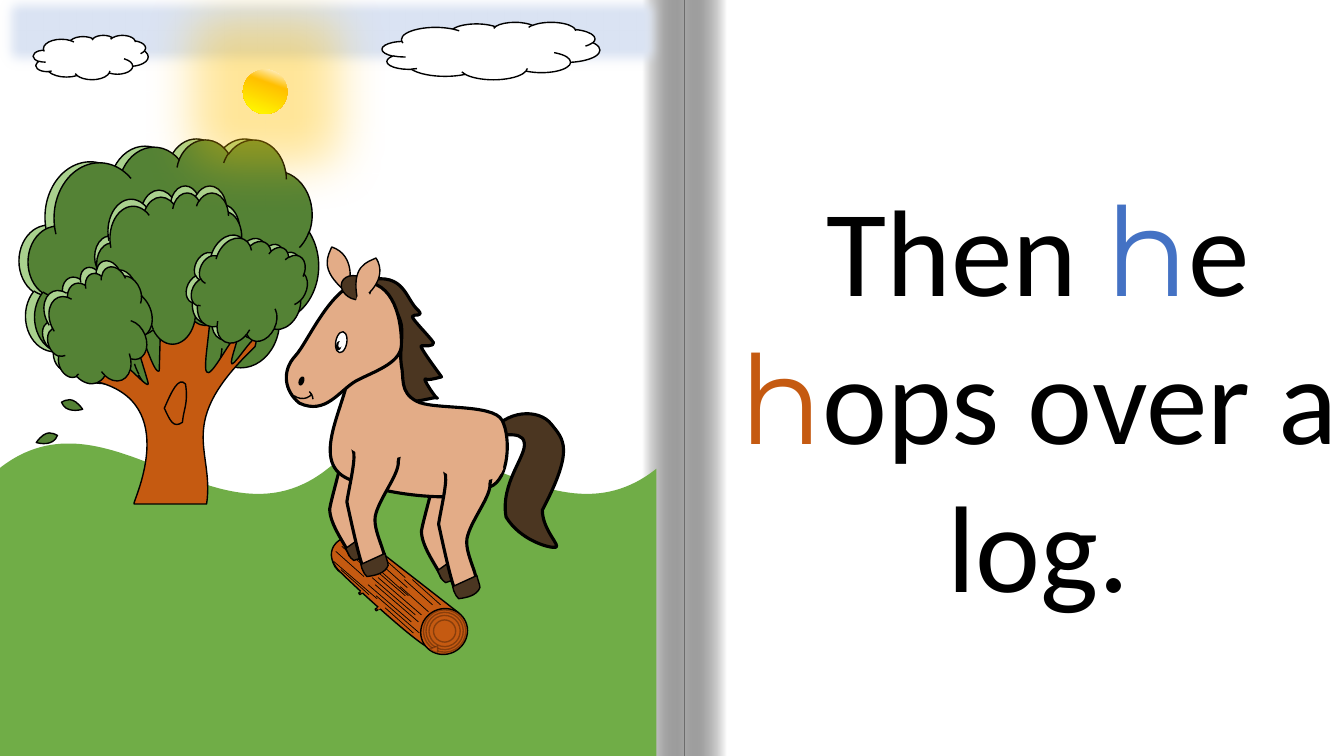
from lxml.etree import SubElement
from pptx import Presentation
from pptx.dml.color import RGBColor
from pptx.enum.shapes import MSO_CONNECTOR, MSO_SHAPE as Preset
from pptx.enum.text import MSO_AUTO_SIZE, PP_ALIGN
from pptx.oxml.ns import qn
from pptx.util import Inches, Pt

BLACK, WHITE, SKY, GRASS = "000000", "FFFFFF", "DAE3F3", "70AD47"
LEAF, LEAF_LIGHT, BARK = "548235", "A9D18E", "C55A11"
COAT, MANE, SUN = "E3AC87", "4B3621", "FFC000"


def color(value):
    return RGBColor.from_string(value)


class StoryPage:
    """Draws styled elements on one slide, optionally inside a group."""

    def __init__(self, slide):
        self.slide = slide
        self.shapes = slide.shapes
        slide.background.fill.solid()
        slide.background.fill.fore_color.rgb = color(BLACK)

    def start_group(self):
        self.shapes = self.slide.shapes.add_group_shape().shapes

    def end_group(self):
        self.shapes = self.slide.shapes

    def paint(self, shape, fill, line, weight, line_alpha=None):
        shape.shadow.inherit = False
        if fill:
            shape.fill.solid()
            shape.fill.fore_color.rgb = color(fill)
        else:
            shape.fill.background()
        if line:
            shape.line.color.rgb = color(line)
            shape.line.width = Pt(weight)
        else:
            shape.line.fill.background()
        if line_alpha:
            ink = shape.element.xpath(".//a:ln//a:srgbClr")[0]
            SubElement(ink, qn("a:alpha"), val=str(line_alpha * 1000))
        return shape

    def preset(self, kind, box, fill=None, line=BLACK, weight=1, turn=0, line_alpha=None, adjust=()):
        shape = self.shapes.add_shape(kind, *map(Inches, box))
        shape.rotation = turn
        for index, value in enumerate(adjust):
            shape.adjustments[index] = value
        return self.paint(shape, fill, line, weight, line_alpha)

    def gradient(self, shape, angle, stops):
        shape.fill.gradient()
        shape.fill.gradient_angle = angle
        stop_list = shape.element.xpath(".//a:gsLst")[0]
        for stop in list(stop_list):
            stop_list.remove(stop)
        for position, tint, alpha in stops:
            stop = SubElement(stop_list, qn("a:gs"), pos=str(position * 1000))
            ink = SubElement(stop, qn("a:srgbClr"), val=tint)
            SubElement(ink, qn("a:alpha"), val=str(alpha * 1000))

    def effect(self, shape, tag, radius):
        effects = shape.element.xpath(".//a:effectLst")[0]
        return SubElement(effects, qn(tag), rad=str(Inches(radius)))

    def outline(self, curve, fill=None, weight=1, dx=0, dy=0, line_alpha=None):
        segments = []
        for part in curve.split("|"):
            numbers = [float(n) for n in part.split()]
            segments.append([(Inches(x + dx), Inches(y + dy)) for x, y in zip(numbers[::2], numbers[1::2])])
        start, *rest = segments
        builder = self.shapes.build_freeform(*start[0], scale=1.0)
        builder.add_line_segments([segment[-1] for segment in rest], close=True)
        shape = builder.convert_to_shape()
        for edge, segment in zip(shape.element.xpath(".//a:lnTo"), rest):
            if len(segment) == 3:
                bend = SubElement(edge.getparent(), qn("a:cubicBezTo"))
                for x, y in segment:
                    SubElement(bend, qn("a:pt"), x=str(x - shape.left), y=str(y - shape.top))
                edge.getparent().replace(edge, bend)
        return self.paint(shape, fill, BLACK, weight, line_alpha)

    def stroke(self, x, y, dx, dy):
        grain = self.shapes.add_connector(MSO_CONNECTOR.STRAIGHT, *map(Inches, (x, y, x + dx, y + dy)))
        grain.line.color.rgb = color(BLACK)
        grain.line.width = Pt(0.5)
        SubElement(grain.element.spPr, qn("a:effectLst"))

    def sentence(self, box, pieces, size):
        frame = self.shapes.add_textbox(*map(Inches, box)).text_frame
        frame.word_wrap = True
        frame.auto_size = MSO_AUTO_SIZE.SHAPE_TO_FIT_TEXT
        line = frame.paragraphs[0]
        line.alignment = PP_ALIGN.CENTER
        for words, font, tint in pieces:
            run = line.add_run()
            run.text = words
            run.font.name, run.font.size = font, Pt(size)
            run.font.color.rgb = color(tint)


def draw_book(page):
    page.start_group()
    page.preset(Preset.RECTANGLE, (0, 0, 13.33, 7.5), WHITE, None)
    for left, angle in ((6.79, 180), (6.37, 0)):
        fold = page.preset(Preset.RECTANGLE, (left, 0, 0.42, 7.5), WHITE, None)
        page.gradient(fold, angle, [(0, WHITE, 100), (100, BLACK, 34)])
    page.end_group()
    page.sentence((7.16, 1.67, 6.28, 4.54), [
        ("Then ", "Calibri", BLACK), ("h", "Montserrat", "4472C4"), ("e ", "Calibri", BLACK),
        ("h", "Montserrat", BARK), ("ops over a log.", "Calibri", BLACK)], 88)


def draw_scenery(page):
    sky = page.preset(Preset.RECTANGLE, (-0.05, -0.12, 6.67, 0.85), SKY, SKY)
    page.effect(sky, "a:softEdge", 0.14)
    for box in ((0.33, 0.35, 1.14, 0.44), (3.79, 0.22, 2.16, 0.57)):
        page.preset(Preset.CLOUD, box, WHITE)
    page.preset(Preset.DOUBLE_WAVE, (-0.01, 4.39, 6.52, 4.16), GRASS, None)


def draw_tree(page):
    page.start_group()
    for left, top, tint in ((0.19, 1.37, LEAF_LIGHT), (0.28, 1.38, LEAF)):
        page.preset(Preset.CLOUD, (left, top, 2.88, 2.58), tint)
    page.outline("1.6 2.97|2.05 2.97|2.15 3 2 3.63 2.05 3.69|2.09 3.76 2.27 3.39 2.34 3.34|"
                 "2.4 3.29 2.27 3.59 2.3 3.61|2.34 3.62 2.6 3.18 2.53 3.44|1.72 4.21 2.13 4.45 2.05 5|1.33 5|"
                 "1.29 5.03 1.84 3.98 0.93 3.78|0.89 3.54 0.99 3.57 1.06 3.58|1.08 3.38 1.49 3.91 1.47 3.8|"
                 "1.44 3.68 1.28 3.21 1.33 3.22|1.38 3.17 1.52 3.73 1.58 3.68", BARK)
    for left, top, width, height, turn, tint in (
            (0.94, 1.84, 1.47, 1.5, 0, LEAF_LIGHT), (0.96, 1.91, 1.47, 1.5, 0, LEAF),
            (1.88, 2.32, 1.07, 1.09, 26.5, LEAF_LIGHT), (0.41, 2.66, 1.07, 1.09, 338.5, LEAF_LIGHT),
            (1.93, 2.35, 1.07, 1.09, 26.5, LEAF), (0.46, 2.72, 1.07, 1.09, 338.5, LEAF)):
        page.preset(Preset.CLOUD, (left, top, width, height), tint, turn=turn)
    page.outline("1.63 4.05|1.7 3.89 1.77 3.73 1.84 3.81|1.87 4 1.82 4.06 1.81 4.19|1.72 4.25 1.69 4.18 1.63 4.05")
    page.end_group()
    sun = page.preset(Preset.OVAL, (2.41, 0.69, 0.44, 0.44), SUN, None)
    page.gradient(sun, 250, [(0, WHITE, 100), (34, SUN, 100), (100, "FFFF00", 100)])
    halo = SubElement(page.effect(sun, "a:glow", 1), qn("a:srgbClr"), val=SUN)
    SubElement(halo, qn("a:alpha"), val="40000")
    for leaf in ("0.82 4.06|0.72 3.92 0.65 3.97 0.61 3.99|0.65 4.1 0.79 4.07 0.82 4.06",
                 "0.36 4.39|0.46 4.25 0.53 4.3 0.57 4.32|0.53 4.43 0.39 4.4 0.36 4.39"):
        page.outline(leaf, LEAF)


def draw_log(page):
    tilt = 238.2
    page.start_group()
    for twig in ((3.75, 5.99, 0.02, 0.08), (3.57, 5.86, 0.02, 0.04)):
        page.preset(Preset.ROUNDED_RECTANGLE, twig, BARK, turn=tilt)
    page.preset(Preset.OVAL, (3.3, 5.3, 0.4, 0.42), BARK, turn=tilt)
    page.outline("4.24 6.42|4.06 6.32 3.48 5.78 3.37 5.67|3.15 5.45 3.41 5.25 3.6 5.34|4.55 6.08|"
                 "4.15 6.05 4.2 6.35 4.24 6.42", BARK)
    page.preset(Preset.OVAL, (4.18, 6.03, 0.45, 0.47), BARK, turn=tilt)
    for ring in (0.42, 0.37, 0.31, 0.22):
        page.preset(Preset.OVAL, (4.41 - ring / 2, 6.26 - ring / 2, ring, ring), BARK, turn=tilt, line_alpha=30)
    page.outline("4.34 6.47|4.34 6.41|4.26 6.44|4.28 6.46 4.36 6.49 4.34 6.47", BARK, line_alpha=30)
    long_grain = ((4.16, 6.28), (4.08, 6.17), (4.15, 6.17), (4.12, 6.1), (4.18, 6.1), (4.02, 5.91), (3.74, 5.94))
    short_grain = ((3.61, 5.72), (3.67, 5.67), (3.75, 5.62), (3.79, 5.57), (4.02, 5.73), (4.04, 5.83),
                   (4.05, 5.91), (4.37, 6), (4.29, 6), (4.25, 6.07), (4.1, 6.28), (3.66, 5.9))
    for starts, dx, dy in ((long_grain, -0.43, -0.37), (short_grain, -0.28, -0.25)):
        for x, y in starts:
            page.stroke(x, y, dx, dy)
    for stub in ((3.77, 5.98, 0.02, 0.08), (3.58, 5.86, 0.02, 0.02)):
        page.preset(Preset.ROUNDED_RECTANGLE, stub, BARK, None, turn=tilt)
    page.end_group()


def draw_far_leg(page, dx, dy):
    page.outline("3.66 4.28|3.58 4.24 3.46 4.23 3.39 4.26|3.34 4.34 3.37 4.33 3.4 4.44|"
                 "3.41 4.55 3.29 4.92 3.27 5.05|3.27 5.21 3.44 5.42 3.47 5.51|3.55 5.57 3.58 5.53 3.68 5.5|"
                 "3.76 5.41 3.52 5.16 3.58 4.99|3.63 4.83 3.67 4.7 3.67 4.58", COAT, 2.25, dx, dy)
    page.outline("3.43 5.44|3.45 5.48|3.47 5.53 3.49 5.55 3.51 5.56|3.6 5.53 3.71 5.49 3.73 5.39|"
                 "3.72 5.36 3.7 5.32 3.67 5.27", MANE, 1, dx, dy)


def draw_near_leg(page, dx, dy):
    page.outline("3.99 4.35|3.91 4.31 3.62 4.23 3.55 4.26|3.5 4.34 3.48 4.38 3.51 4.5|"
                 "3.52 4.6 3.46 4.85 3.44 4.98|3.52 5.35 3.56 5.51 3.59 5.6|3.67 5.66 3.7 5.66 3.8 5.62|"
                 "3.88 5.53 3.67 5.26 3.73 5.09|3.78 4.92 3.96 4.7 3.95 4.58", COAT, 2.25, dx, dy)
    page.outline("3.58 5.6|3.59 5.64|3.61 5.68 3.62 5.71 3.64 5.72|3.72 5.71 3.82 5.69 3.85 5.61|"
                 "3.85 5.58 3.83 5.54 3.82 5.49", MANE, 1, dx, dy)
    page.preset(Preset.OVAL, (3.4 + dx, 4.2 + dy, 0.68, 0.34), COAT, COAT, turn=9.8)


def draw_horse(page):
    front, hind = (0, 0), (0.91, 0.22)
    page.start_group()
    draw_far_leg(page, *hind)
    page.outline("5.51 5.43|5.57 5.42 5.38 5.26 5.38 5.06|5.7 4.45 5.59 4.36 5.47 4.21|"
                 "5.35 4.05 5.01 4.06 4.85 4.32|4.89 4.35 5.18 4.25 5.2 4.39|5.23 4.52 4.96 4.79 5.02 5.13|"
                 "5.16 5.36 5.45 5.44 5.51 5.43", MANE, 2.25)
    draw_far_leg(page, *front)
    page.outline("3.65 2.78|3.38 2.92|3.65 3.51|3.77 3.91|3.87 3.92 3.79 3.94 4 3.94|"
                 "4.05 4.04 4.33 3.92 4.34 3.95|4.34 3.98 4.18 3.74 4.22 3.76|4.25 3.78 4.37 3.74 4.38 3.74|"
                 "4.39 3.75 4.14 3.42 4.18 3.43|4.21 3.43 4.31 3.44 4.3 3.4|4.28 3.36 4.08 3.16 4.09 3.14|"
                 "4.1 3.11 4.21 3.15 4.15 3.08|4.02 2.97 4.02 2.7 3.65 2.78", MANE, 2.25)
    page.outline("3.98 3.62|3.96 3.49 4.01 3.28 3.97 3.18|3.94 3.08 3.77 2.79 3.69 2.85|"
                 "3.6 2.91 3.51 3.24 3.46 3.54|3.54 3.87 3.03 4.53 3.43 4.74|3.84 4.94 4.73 5 4.86 4.83|"
                 "5.05 4.76 5.07 4.34 4.98 4.17|4.89 4 4.29 4.07 4.13 3.98|3.96 3.89 4.01 3.75 3.98 3.62", COAT, 2.25)
    draw_near_leg(page, *front)
    page.outline("3.63 2.8|3.31 2.77 3.06 3.39 2.93 3.53|2.79 3.68 2.82 3.88 2.97 4|"
                 "3.23 4.12 3.36 3.88 3.53 3.78|3.7 3.69 3.96 3.61 3.98 3.44|3.99 3.28 3.95 2.82 3.63 2.8", COAT, 2.25)
    page.outline("3.44 2.9|3.15 2.67 3.26 2.53 3.29 2.45|3.53 2.53 3.48 2.83 3.44 2.9", COAT)
    page.preset(Preset.OVAL, (3.38, 2.74, 0.3, 0.23), MANE, turn=22.4)
    page.outline("3.55 2.99|3.47 2.63 3.65 2.6 3.73 2.56|3.86 2.77 3.62 2.96 3.55 2.99", COAT)
    for box, fill, line, turn in (
            ((3.45, 2.97, 0.32, 0.16), COAT, COAT, 271.7), ((3.28, 3.34, 0.21, 0.11), WHITE, BLACK, 279.8),
            ((2.95, 3.76, 0.08, 0.04), BLACK, BLACK, 290.4), ((3.32, 3.41, 0.08, 0.04), BLACK, BLACK, 279.8),
            ((3.67, 3.11, 0.32, 0.16), COAT, COAT, 271.7), ((3.34, 3.39, 0.08, 0.04), WHITE, None, 290.4)):
        page.preset(Preset.OVAL, box, fill, line, turn=turn)
    for left, top, turn, arc_end in ((2.86, 3.71, 217.1, 162), (2.85, 3.86, 132.8, 131.06)):
        page.preset(Preset.ARC, (left, top, 0.26, 0.24), turn=turn, adjust=(108, arc_end))
    draw_near_leg(page, *hind)
    page.end_group()


def main():
    deck = Presentation()
    deck.slide_width, deck.slide_height = Inches(13.33), Inches(7.5)
    page = StoryPage(deck.slides.add_slide(deck.slide_layouts[6]))
    for draw in (draw_book, draw_scenery, draw_tree, draw_log, draw_horse):
        draw(page)
    deck.save("out.pptx")


if __name__ == "__main__":
    main()
